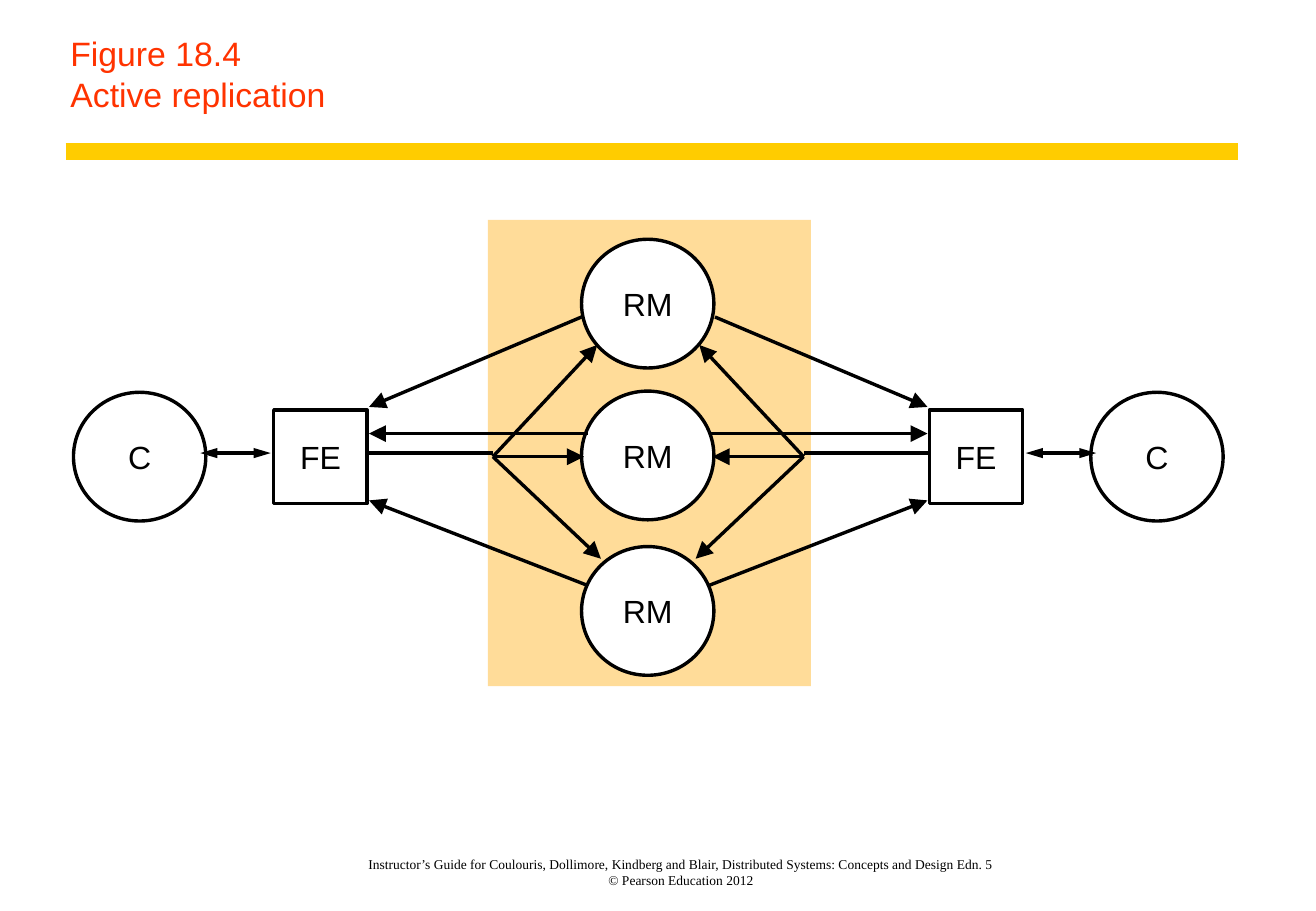
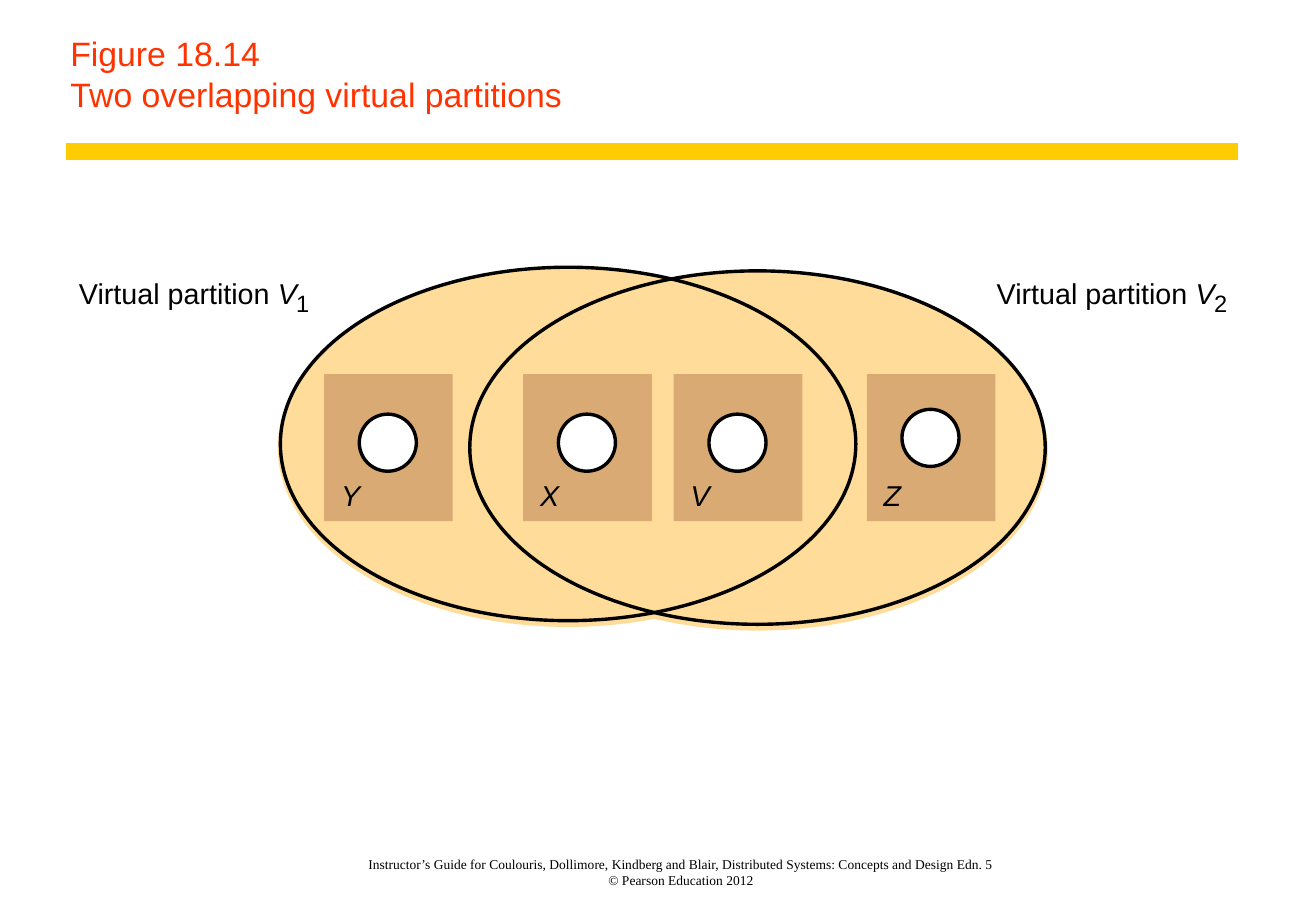
from pptx import Presentation
from pptx import util as u
from pptx.dml.color import RGBColor
from pptx.enum import shapes, text
from pptx.oxml.ns import qn
from lxml import etree

COLORS = {
    "title": "FF3300",
    "rule": "FFCC00",
    "ink": "000000",
    "paper": "FFFFFF",
    "panel": "FFDC99",
    "cell": "D9AA73",
}
SANS, SERIF = "Arial", "Times New Roman"
FOOTER = ("Instructor’s Guide for Coulouris, Dollimore, Kindberg and Blair, "
          "Distributed Systems: Concepts and Design Edn. 5\v"
          "© Pearson Education 2012")
RECT, OVAL = shapes.MSO_SHAPE.RECTANGLE, shapes.MSO_SHAPE.OVAL
LEFT, CENTER = text.PP_ALIGN.LEFT, text.PP_ALIGN.CENTER
TOP, MIDDLE, BOTTOM = (text.MSO_ANCHOR.TOP, text.MSO_ANCHOR.MIDDLE,
                       text.MSO_ANCHOR.BOTTOM)


def rgb(name):
    return RGBColor.from_string(COLORS[name])


def inches(*values):
    return [u.Inches(v) for v in values]


def set_text(sp, runs, size, color="ink", font=SANS, align=LEFT, anchor=TOP,
             wrap=False):
    """Fill a shape with one paragraph of (words, italic) runs."""
    tf = sp.text_frame
    tf.margin_left = tf.margin_right = tf.margin_top = tf.margin_bottom = 0
    tf.word_wrap = wrap
    tf.vertical_anchor = anchor
    p = tf.paragraphs[0]
    p.alignment = align
    p.font.size = u.Pt(size)
    p.font.name = font
    p.font.color.rgb = rgb(color)
    for i, (words, italic) in enumerate(runs):
        for j, line in enumerate(words.split("\v")):
            if j:
                p.add_line_break()
            r = p.add_run()
            r.text = line
            if italic:
                r.font.italic = True


def add_label(s, x, y, w, h, runs, size, **style):
    set_text(s.shapes.add_textbox(*inches(x, y, w, h)), runs, size, **style)


def add_figure(s, kind, x, y, w, h, fill=None, line=None, label=None, width=2):
    sp = s.shapes.add_shape(kind, *inches(x, y, w, h))
    sp.shadow.inherit = False
    if fill:
        sp.fill.solid()
        sp.fill.fore_color.rgb = rgb(fill)
    else:
        sp.fill.background()
    if line:
        sp.line.color.rgb = rgb(line)
        sp.line.width = u.Pt(width)
    else:
        sp.line.fill.background()
    if label:
        set_text(sp, [(label, False)], 19, align=CENTER, anchor=MIDDLE)


def add_line(s, start, end, color="ink", width=2, heads=(), head_width="lg"):
    """Draw a straight line; heads lists its arrow ends, headEnd or tailEnd."""
    sp = s.shapes.add_connector(shapes.MSO_CONNECTOR.STRAIGHT,
                                *inches(*start, *end))
    sp.line.color.rgb = rgb(color)
    sp.line.width = u.Pt(width)
    ln = sp.line._get_or_add_ln()
    for head in heads:
        etree.SubElement(ln, qn(f"a:{head}"), type="triangle",
                         w=head_width, len="lg")
    etree.SubElement(sp._element.spPr, qn("a:effectLst"))


def add_frame(prs, title):
    """Add a slide with the shared footer, rule and title."""
    s = prs.slides.add_slide(prs.slide_layouts[6])
    add_label(s, 2.35, 6.92, 6.52, 0.39, [(FOOTER, False)], 8, font=SERIF,
              align=CENTER, anchor=BOTTOM, wrap=True)
    add_line(s, (0.54, 1.25), (10.2, 1.25), "rule", 10)
    add_label(s, 0.58, 0, 9.5, 0.94, [(title, False)], 20, color="title",
              anchor=BOTTOM, wrap=True)
    return s


def draw_replicas(s, axis, top):
    add_figure(s, RECT, axis - 1.32, top, 2.66, 3.84, "panel")
    for dy in (0.16, 1.41, 2.69):
        add_figure(s, OVAL, axis - 0.55, top + dy, 1.09, 1.06,
                   "paper", "ink", "RM")


def draw_client_side(s, axis, top, side):
    """Draw client, front end and messages; side is -1 (left) or 1 (right)."""
    def at(out, down):
        return axis + side * out, top + down

    for kind, label, out, w, h in ((OVAL, "C", 4.19, 1.09, 1.06),
                                   (RECT, "FE", 2.7, 0.77, 0.77)):
        x, y = at(out, 1.95)
        add_figure(s, kind, x - w / 2, y - h / 2, w, h,
                   line="ink", label=label)

    add_line(s, at(3.69, 1.92), at(3.11, 1.92),
             heads=("headEnd", "tailEnd"), head_width="med")
    add_line(s, at(2.32, 1.92), at(1.28, 1.92))

    fork = (1.28, 1.95)
    requests = [(fork, tip) for tip in ((0.42, 1.03), (0.53, 1.95),
                                        (0.39, 2.79))]
    replies = [((0.55, 0.8), (2.3, 1.54)),
               ((0.5, 1.76), (2.3, 1.76)),
               ((0.5, 3.01), (2.3, 2.31))]
    for start, tip in requests + replies:
        add_line(s, at(*start), at(*tip), heads=("tailEnd",))


def draw_active_replication(s, axis, top):
    draw_replicas(s, axis, top)
    for side in (-1, 1):
        draw_client_side(s, axis, top, side)


def draw_partition_label(s, x, y, number):
    add_label(s, x, y, 1.8, 0.28, [("Virtual partition ", False), ("V", True)],
              17)
    add_label(s, x + 1.79, y + 0.11, 0.11, 0.23, [(number, False)], 14)


def draw_copy_cell(s, x, y, name, disc_top):
    add_figure(s, RECT, x, y, 1.06, 1.21, "cell")
    add_figure(s, OVAL, x + 0.29, y + disc_top, 0.47, 0.47, "paper", "ink")
    add_label(s, x + 0.14, y + 0.85, 0.16, 0.28, [(name, True)], 17)


def draw_virtual_partitions(s, left, top):
    ovals = [(left + dx, top + dy) for dx, dy in ((1.66, 0), (3.22, 0.03))]
    for x, y in ovals:
        add_figure(s, OVAL, x, y + 0.03, 4.74, 2.91, "panel", "panel",
                   width=3.12)
    for dx, number in ((0, "1"), (7.56, "2")):
        draw_partition_label(s, left + dx, top + 0.07, number)
    for dx, name, disc_top in ((2.02, "Y", 0.33), (3.66, "X", 0.33),
                               (4.9, "V", 0.33), (6.49, "Z", 0.29)):
        draw_copy_cell(s, left + dx, top + 0.88, name, disc_top)
    for x, y in ovals:
        add_figure(s, OVAL, x, y, 4.74, 2.91, line="ink")


def main():
    prs = Presentation()
    prs.slide_width, prs.slide_height = inches(10.84, 7.5)
    s = add_frame(prs, "Figure 18.4\vActive replication")
    draw_active_replication(s, 5.34, 1.81)
    s = add_frame(prs, "Figure 18.14\vTwo overlapping virtual partitions")
    draw_virtual_partitions(s, 0.65, 2.2)
    prs.save("out.pptx")


if __name__ == "__main__":
    main()
